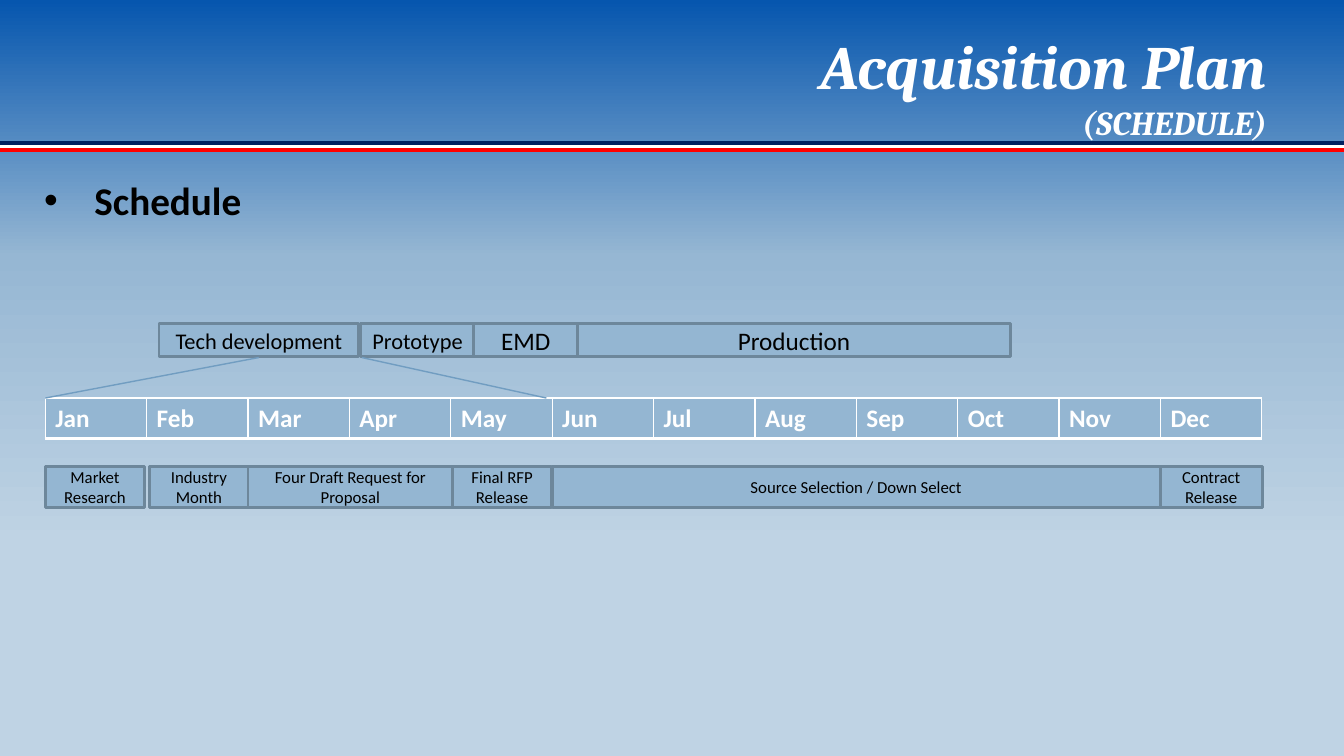
from copy import deepcopy

from lxml.etree import SubElement
from pptx import Presentation
from pptx.dml.color import RGBColor
from pptx.enum.shapes import MSO_CONNECTOR as Connector, MSO_SHAPE as Shape
from pptx.enum.text import MSO_ANCHOR as Anchor, MSO_AUTO_SIZE as AutoSize, PP_ALIGN as Align
from pptx.oxml.ns import qn
from pptx.util import Cm, Pt

WIDTH, HEIGHT = 33.87, 19.05
BAR_FILL, BAR_EDGE, CALLOUT = "94B6D2", "6D879B", "719DC1"
BLACK, WHITE = "000000", "FFFFFF"

SKY = [(0, "0656AE"), (0.34, "96B7D3"), (0.72, "BFD3E4")]
STRIPES = [(3.61, "002060", 3.5), (3.71, WHITE, 2.5), (3.78, "FF0000", 3.5)]
MONTHS = "Jan Feb Mar Apr May Jun Jul Aug Sep Oct Nov Dec".split()
# Bars: offset from the row's left edge, width, label, text size
PHASES = [
    (0, 5.03, "Tech development", 16),
    (5.08, 2.87, "Prototype", 16),
    (7.93, 2.62, "EMD", 18),
    (10.54, 10.92, "Production", 18),
]
MILESTONES = [
    (0, 2.51, "Market Research", 12),
    (2.62, 2.51, "Industry Month", 12),
    (5.11, 5.16, "Four Draft Request for Proposal", 12),
    (10.26, 2.51, "Final RFP Release", 12),
    (12.78, 15.32, "Source Selection / Down Select", 12),
    (28.1, 2.57, "Contract Release", 12),
]


def color(hex_code):
    return RGBColor.from_string(hex_code)


def box(*lengths):
    return [Cm(length) for length in lengths]


def set_font(run, hex_code, **formats):
    for name, value in formats.items():
        setattr(run.font, name, value)
    run.font.color.rgb = color(hex_code)


def add_line(slide, start, end, hex_code, width):
    line = slide.shapes.add_connector(Connector.STRAIGHT, *box(*start, *end))
    line.line.color.rgb = color(hex_code)
    line.line.width = Pt(width)
    SubElement(line.element.spPr, qn("a:effectLst"))


def paint_background(slide):
    fill = slide.background.fill
    fill.gradient()
    fill.gradient_angle = 270
    stop_list = slide.element.find(".//" + qn("a:gsLst"))
    stop_list.append(deepcopy(stop_list[-1]))
    for stop, (position, hex_code) in zip(fill.gradient_stops, SKY):
        stop.position = position
        stop.color.rgb = color(hex_code)


def add_header(slide, left, top, width, height):
    # Flag stripes
    for y, hex_code, weight in STRIPES:
        add_line(slide, (0, y), (WIDTH, y), hex_code, weight)
    # Title
    title = slide.shapes.title
    title.left, title.top, title.width, title.height = box(left, top, width, height)
    frame = title.text_frame
    frame.auto_size = AutoSize.NONE
    frame.vertical_anchor = Anchor.MIDDLE
    heading = frame.paragraphs[0]
    heading.alignment = Align.RIGHT
    heading.line_spacing = 1.0
    for text, size in (("Acquisition Plan", 44), ("(SCHEDULE)", 24)):
        if heading.runs:
            heading.add_line_break()
        run = heading.add_run()
        run.text = text
        set_font(run, WHITE, name="Cambria", size=Pt(size), bold=True, italic=True)


def add_topic(slide, left, top, width, height):
    frame = slide.shapes.add_textbox(*box(left, top, width, height)).text_frame
    frame.word_wrap = True
    topic = frame.paragraphs[0]
    run = topic.add_run()
    run.text = "Schedule"
    set_font(run, BLACK, name="Calibri", size=Pt(28), bold=True)
    # Hanging bullet
    properties = topic._p.get_or_add_pPr()
    properties.set("marL", str(Cm(1.27)))
    properties.set("indent", str(-Cm(1.27)))
    SubElement(properties, qn("a:buFont"), typeface="Arial")
    SubElement(properties, qn("a:buChar"), char="•")


def add_bars(slide, bars, left, top, height):
    for offset, width, label, size in bars:
        bar = slide.shapes.add_shape(Shape.RECTANGLE, *box(left + offset, top, width, height))
        bar.shadow.inherit = False
        bar.fill.solid()
        bar.fill.fore_color.rgb = color(BAR_FILL)
        bar.line.color.rgb = color(BAR_EDGE)
        bar.line.width = Pt(2)
        frame = bar.text_frame
        margins = dict(margin_left=0.13, margin_right=0.13, margin_top=0, margin_bottom=0)
        for name, value in margins.items():
            setattr(frame, name, Cm(value))
        frame.word_wrap = True
        frame.vertical_anchor = Anchor.MIDDLE
        paragraph = frame.paragraphs[0]
        paragraph.alignment = Align.CENTER
        run = paragraph.add_run()
        run.text = label
        set_font(run, BLACK, name="Calibri", size=Pt(size))


def add_borders(cell):
    properties = cell._tc.get_or_add_tcPr()
    for side, width in (("L", 1), ("R", 1), ("T", 1), ("B", 3)):
        border = SubElement(properties, qn("a:ln" + side), w=str(Pt(width)))
        SubElement(SubElement(border, qn("a:solidFill")), qn("a:srgbClr"), val=WHITE)


def add_months(slide, left, top, width, height):
    calendar = slide.shapes.add_table(1, len(MONTHS), *box(left, top, width, height)).table
    calendar.horz_banding = False
    for column, cell, month in zip(calendar.columns, calendar.rows[0].cells, MONTHS):
        column.width = Cm(width / len(MONTHS))
        add_borders(cell)
        cell.fill.solid()
        cell.fill.fore_color.rgb = color(BAR_FILL)
        run = cell.text_frame.paragraphs[0].add_run()
        run.text = month
        set_font(run, WHITE, name="Calibri", size=Pt(18), bold=True)


def add_timeline(slide, left, top, width):
    months_top = top + 1.88
    add_bars(slide, PHASES, left + 2.87, top, 0.84)
    add_months(slide, left, months_top, width, 1.02)
    # Callout from the first phase to its months
    for start, end in ((5.38, 0), (7.98, 12.63)):
        add_line(slide, (left + start, top + 0.86), (left + end, months_top), CALLOUT, 1)
    add_bars(slide, MILESTONES, left, top + 3.61, 1.02)


def main():
    deck = Presentation()
    deck.slide_width, deck.slide_height = box(WIDTH, HEIGHT)
    slide = deck.slides.add_slide(deck.slide_layouts[5])
    paint_background(slide)
    add_header(slide, 4.52, 0.56, 27.66, 3.18)
    add_topic(slide, 0.86, 4.32, 32.33, 1.45)
    add_timeline(slide, 1.14, 8.15, 30.66)
    deck.save("out.pptx")


if __name__ == "__main__":
    main()
